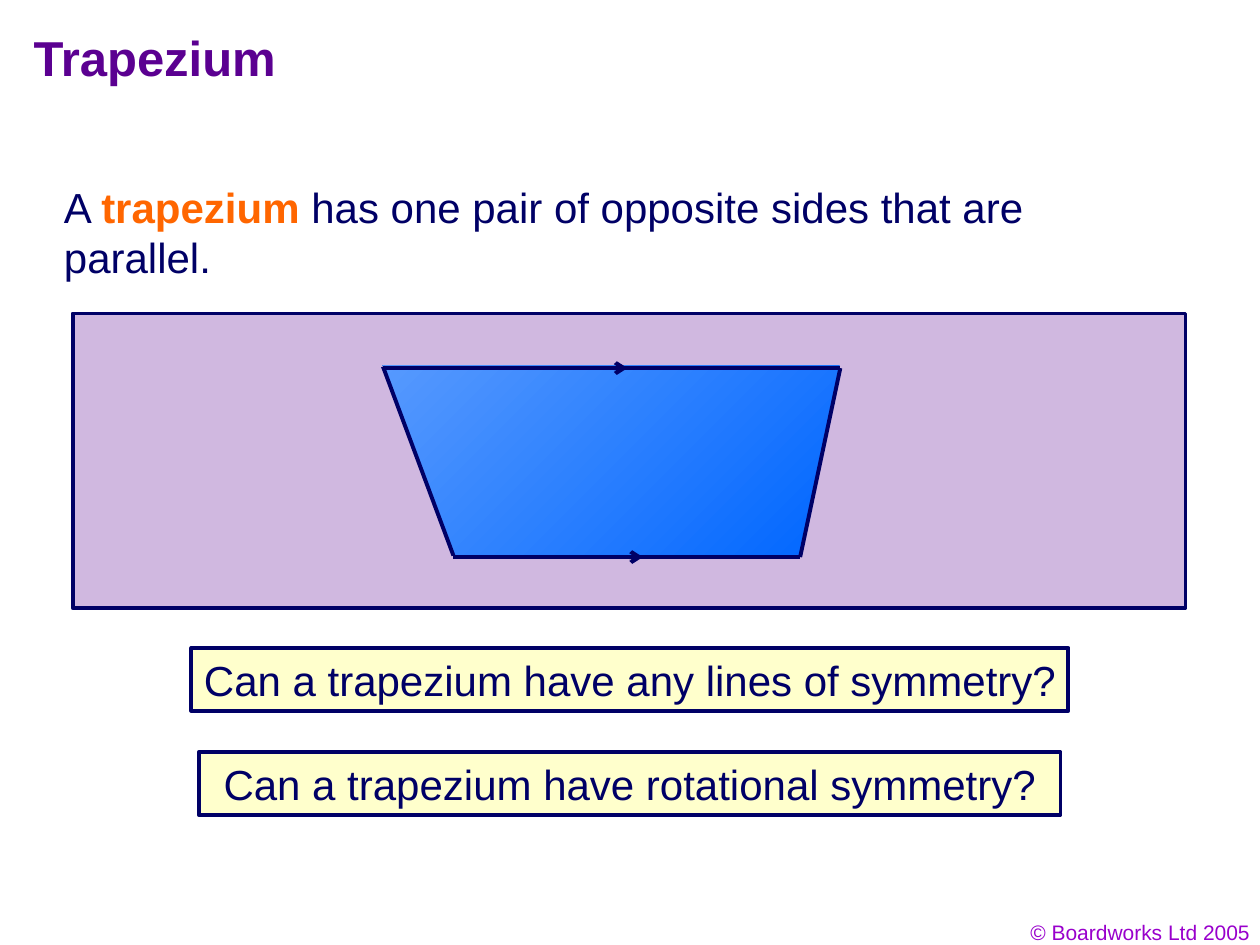
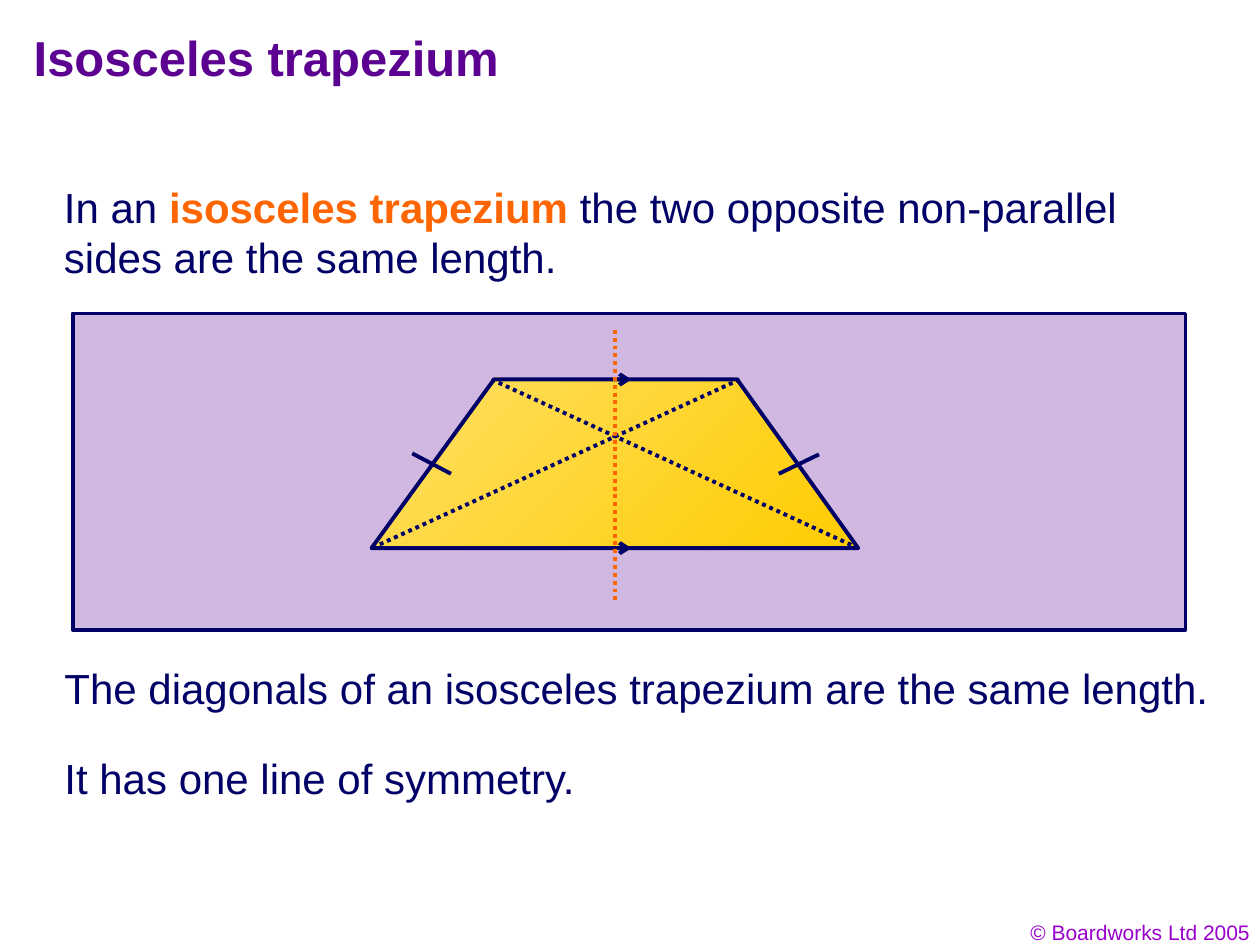
"""Build two slides on the trapezium and the isosceles trapezium."""
import pptx
import pptx.dml.color
import pptx.enum.dml
import pptx.enum.shapes
import pptx.enum.text
import pptx.oxml.ns
import pptx.util
from lxml import etree

Cm = pptx.util.Cm
Pt = pptx.util.Pt
RGB = pptx.dml.color.RGBColor.from_string
ALIGN = pptx.enum.text.PP_ALIGN
RECT = pptx.enum.shapes.MSO_SHAPE.RECTANGLE
STRAIGHT = pptx.enum.shapes.MSO_CONNECTOR.STRAIGHT
qn = pptx.oxml.ns.qn

C = {
    "title": "5B0091", "ink": "000066", "key": "FF6600", "footer": "9900CC",
    "panel": "D0B8E0", "question": "FFFFCC",
    "blue": "0066FF", "light_blue": "5699FE", "gold": "FFCC00", "light_gold": "FEDF65",
}
LINE_WIDTH = Pt(2.25)


def text(s, content, box, size=24, color="ink", bold=False, align=ALIGN.LEFT, fill=None, wrap=True):
    """Add a text box, or a bordered rectangle if fill is given; *stars* mark key words."""
    box = [Cm(v) for v in box]
    if fill:
        sp = s.shapes.add_shape(RECT, *box)
        sp.shadow.inherit = False
        sp.fill.solid()
        sp.fill.fore_color.rgb = RGB(C[fill])
        sp.line.color.rgb = RGB(C["ink"])
        sp.line.width = LINE_WIDTH
    else:
        sp = s.shapes.add_textbox(*box)
    tf = sp.text_frame
    tf.word_wrap = wrap
    tf.vertical_anchor = pptx.enum.text.MSO_ANCHOR.TOP
    p = tf.paragraphs[0]
    p.alignment = align
    for i, part in enumerate(content.split("*")):
        if part:
            r = p.add_run()
            r.text = part
            r.font.name = "Arial"
            r.font.size = Pt(size)
            r.font.bold = bold or i % 2 == 1
            r.font.color.rgb = RGB(C["key" if i % 2 else color])


def line(s, x1, y1, x2, y2, color="ink", dotted=False, arrow=False):
    """Add a straight line, optionally dotted or ending in an open arrowhead."""
    cx = s.shapes.add_connector(STRAIGHT, Cm(x1), Cm(y1), Cm(x2), Cm(y2))
    cx.line.color.rgb = RGB(C[color])
    cx.line.width = LINE_WIDTH
    if dotted:
        cx.line.dash_style = pptx.enum.dml.MSO_LINE.ROUND_DOT
    if arrow:
        etree.SubElement(cx.line._get_or_add_ln(), qn("a:tailEnd"), type="arrow")
    etree.SubElement(cx._element.spPr, qn("a:effectLst"))


prs = pptx.Presentation()
prs.slide_width, prs.slide_height = Cm(25.4), Cm(19.05)

slides = [
    {
        "title": "Trapezium",
        "intro": "A *trapezium *has one pair of opposite sides that are parallel.",
        "panel_height": 5.94,
        "polygons": [
            ([(7.72, 7.37), (16.92, 7.37), (16.13, 11.18), (9.12, 11.18)], ("blue", "light_blue")),
        ],
        "texts": [
            ("Can a trapezium have any lines of symmetry?", (3.86, 13.06, 17.68, 1.27),
             {"fill": "question", "align": ALIGN.CENTER, "wrap": False}),
            ("Can a trapezium have rotational symmetry?", (4.01, 15.16, 17.37, 1.27),
             {"fill": "question", "align": ALIGN.CENTER}),
        ],
        "arrows": [(12.01, 7.42), (12.32, 11.23)],
        "lines": [
            (7.72, 7.42, 16.94, 7.42),
            (9.14, 11.23, 16.13, 11.23),
            (7.72, 7.39, 9.14, 11.2),
            (16.94, 7.42, 16.13, 11.23),
        ],
        "dotted": [],
    },
    {
        "title": "Isosceles trapezium",
        "intro": "In an *isosceles trapezium *the two opposite non-parallel sides are the same length.",
        "panel_height": 6.38,
        "polygons": [
            ([(7.57, 11.02), (17.3, 11.05), (14.88, 7.67), (9.98, 7.62)], ("gold", "light_gold")),
            ([(7.49, 11.05), (17.3, 11.05), (14.86, 7.65), (9.96, 7.65)], None),
        ],
        "texts": [
            ("The diagonals of an isosceles trapezium are the same length.",
             (1.05, 13.23, 23.57, 1.27), {"wrap": False}),
            ("It has one line of symmetry.", (1.05, 15.04, 10.85, 1.27), {"wrap": False}),
        ],
        "arrows": [(12.09, 7.65), (12.09, 11.05)],
        "lines": [(8.31, 9.14, 9.09, 9.55), (16.51, 9.16, 15.7, 9.55)],
        "dotted": [
            (9.91, 7.65, 17.3, 11.05, "ink"),
            (14.91, 7.65, 7.49, 11.05, "ink"),
            (12.4, 6.65, 12.4, 12.12, "key"),
        ],
    },
]

for d in slides:
    s = prs.slides.add_slide(prs.slide_layouts[6])
    text(s, "© Boardworks Ltd 2005", (19.53, 18.41, 5.92, 0.76), size=12, color="footer",
         align=ALIGN.RIGHT)
    text(s, "", (1.47, 6.32, 22.43, d["panel_height"]), fill="panel")
    for corners, gradient in d["polygons"]:
        points = [(Cm(x), Cm(y)) for x, y in corners]
        fb = s.shapes.build_freeform(*points[0])
        fb.add_line_segments(points[1:], close=True)
        sp = fb.convert_to_shape()
        sp.shadow.inherit = False
        if gradient:
            sp.fill.gradient()
            sp.fill.gradient_angle = 135
            for stop, name in zip(sp.fill.gradient_stops, gradient):
                stop.color.rgb = RGB(C[name])
            sp.line.fill.background()
        else:
            sp.fill.background()
            sp.line.color.rgb = RGB(C["ink"])
            sp.line.width = LINE_WIDTH
    text(s, d["title"], (0.43, 0.43, 21.59, 1.7), size=28, color="title", bold=True)
    text(s, d["intro"], (1.04, 3.53, 22.86, 2.29))
    for content, box, style in d["texts"]:
        text(s, content, box, **style)
    for x, y in d["arrows"]:
        line(s, x, y, x + 0.64, y, arrow=True)
    for ends in d["lines"]:
        line(s, *ends)
    for ends in d["dotted"]:
        line(s, *ends, dotted=True)

prs.save("out.pptx")
